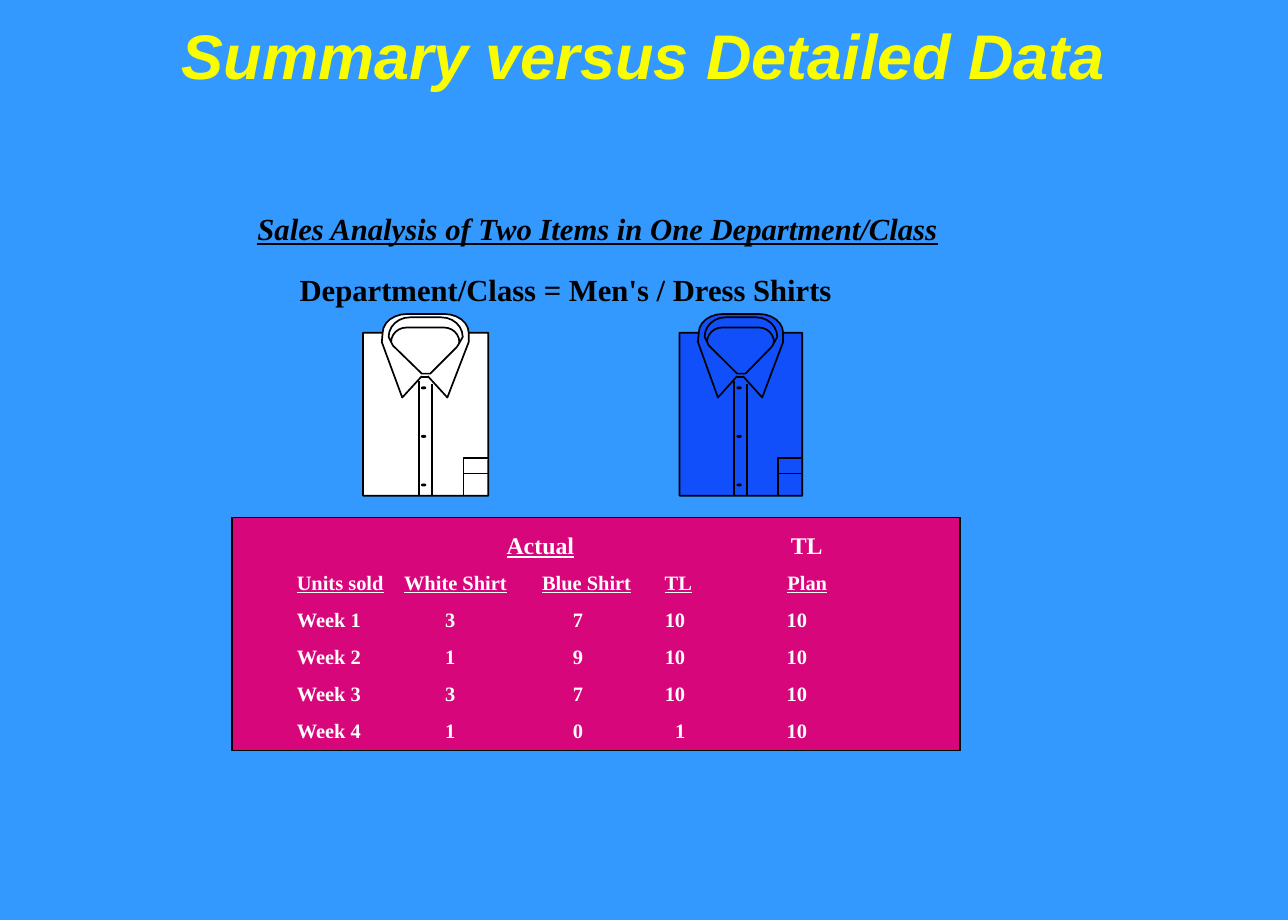
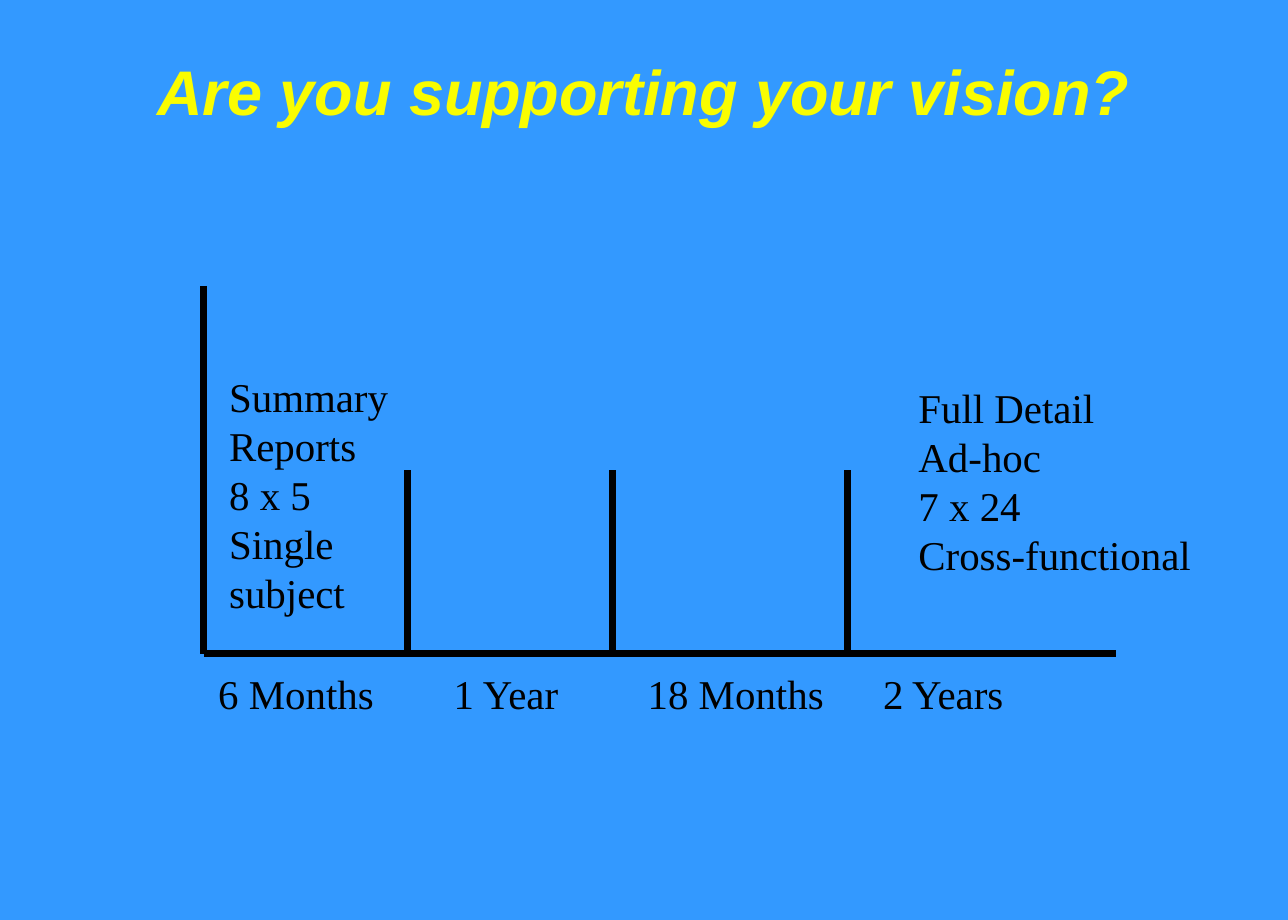
import math
from dataclasses import dataclass

import lxml.etree
import pptx
import pptx.dml.color
import pptx.enum.shapes
import pptx.enum.text
import pptx.oxml.ns
import pptx.presentation
import pptx.shapes.base
import pptx.slide
import pptx.text.text
import pptx.util

Pt = pptx.util.Pt
Align = pptx.enum.text.PP_ALIGN
Anchor = pptx.enum.text.MSO_ANCHOR
Shape = pptx.enum.shapes.MSO_SHAPE
Point = tuple[float, float]

COLORS = {
    "background": "3399FF",
    "title": "FAFD00",
    "ink": "000000",
    "panel": "D8067B",
    "white": "FFFFFF",
    "blue": "114FFB",
}
TITLE_FONT = "Arial"
BODY_FONT = "Times New Roman"
NO_GRID_STYLE = "{2D5ABB26-0587-4C30-8999-92F81FD0307C}"


@dataclass(frozen=True)
class Style:
    size: float
    color: str = "ink"
    font: str = BODY_FONT
    bold: bool = False
    italic: bool = False
    underline: bool = False


@dataclass(frozen=True)
class Label:
    lines: tuple[str, ...]
    left: float
    top: float
    width: float
    height: float
    style: Style


@dataclass(frozen=True)
class Column:
    heading: str
    width: float
    number_margin: float
    values: tuple[str, ...]


@dataclass(frozen=True)
class Shirt:
    left: float
    top: float
    stretch: float
    color: str

    def place(self, point: Point) -> Point:
        return self.left + point[0] * self.stretch, self.top + point[1]


TITLE = Style(37, "title", TITLE_FONT, bold=True, italic=True)
AXIS_TEXT = Style(24)
GROUP_HEADING = Style(14, "white", bold=True)
GROUP_UNDERLINED = Style(14, "white", bold=True, underline=True)
COLUMN_HEADING = Style(12, "white", bold=True, underline=True)
VALUE = Style(12, "white", bold=True)

SALES_LABELS = (
    Label(("Sales Analysis of Two Items in One Department/Class",), 144, 119.5, 430, 29,
          Style(18, bold=True, italic=True, underline=True)),
    Label(("Department/Class = Men's / Dress Shirts",), 168.8, 155.5, 380, 29,
          Style(18, bold=True)),
)
SALES_COLUMNS = (
    Column("Units sold", 63, 0, ("Week 1", "Week 2", "Week 3", "Week 4")),
    Column("White Shirt", 81, 45, ("3", "1", "3", "1")),
    Column("Blue Shirt", 72, 42, ("7", "9", "7", "0")),
    Column("TL", 72, 54, ("10", "10", "10", "1")),
    Column("Plan", 100, 82.5, ("10", "10", "10", "10")),
)
SHIRTS = (
    Shirt(398.9, 184.3, 0.98, "blue"),
    Shirt(213.1, 184.3, 1, "white"),
)
VISION_LABELS = (
    *(Label((text,), left, 388.8, 140, 36, AXIS_TEXT) for text, left in (
        ("6 Months", 121), ("1 Year", 259.2), ("18 Months", 373), ("2 Years", 511.2))),
    Label(("Full Detail", "Ad-hoc", "7 x 24", "Cross-functional"), 532, 221, 185, 123, AXIS_TEXT),
    Label(("Summary", "Reports", "8 x 5", "Single", "subject"), 127.4, 214.6, 120, 151, AXIS_TEXT),
)


def rgb(name: str) -> pptx.dml.color.RGBColor:
    return pptx.dml.color.RGBColor.from_string(COLORS[name])


def add_span(para: pptx.text.text._Paragraph, text: str, style: Style) -> None:
    span = para.add_run()
    span.text = text
    font = span.font
    font.name = style.font
    font.size = Pt(style.size)
    font.bold = style.bold
    font.italic = style.italic
    font.underline = style.underline
    font.color.rgb = rgb(style.color)


def add_page(deck: pptx.presentation.Presentation, title: str, height: float) -> pptx.slide.Slide:
    page = deck.slides.add_slide(deck.slide_layouts[5])
    box = page.shapes.title
    box.left, box.top, box.width, box.height = Pt(16.8), Pt(10.8), Pt(722), Pt(height)
    frame = box.text_frame
    frame.auto_size = pptx.enum.text.MSO_AUTO_SIZE.NONE
    frame.vertical_anchor = Anchor.MIDDLE
    para = frame.paragraphs[0]
    para.alignment = Align.CENTER
    para.line_spacing = 0.9
    add_span(para, title, TITLE)
    return page


def add_label(page: pptx.slide.Slide, label: Label) -> None:
    box = page.shapes.add_textbox(
        Pt(label.left), Pt(label.top), Pt(label.width), Pt(label.height))
    frame = box.text_frame
    frame.word_wrap = True
    for index, text in enumerate(label.lines):
        para = frame.add_paragraph() if index else frame.paragraphs[0]
        add_span(para, text, label.style)


def paint(shape: pptx.shapes.base.BaseShape, color: str) -> None:
    shape.shadow.inherit = False
    shape.fill.solid()
    shape.fill.fore_color.rgb = rgb(color)
    shape.line.color.rgb = rgb("ink")
    shape.line.width = Pt(1)


def add_line(page: pptx.slide.Slide, start: Point, end: Point, width: float) -> None:
    line = page.shapes.add_connector(
        pptx.enum.shapes.MSO_CONNECTOR.STRAIGHT, *map(Pt, (*start, *end)))
    line.line.color.rgb = rgb("ink")
    line.line.width = Pt(width)
    lxml.etree.SubElement(line._element.spPr, pptx.oxml.ns.qn("a:effectLst"))


def arc(center: Point, radius: Point, start: int, end: int) -> list[Point]:
    steps = 6
    angles = [math.radians(start + (end - start) * step / steps) for step in range(steps + 1)]
    return [(center[0] + radius[0] * math.cos(angle), center[1] - radius[1] * math.sin(angle))
            for angle in angles]


def add_outline(page: pptx.slide.Slide, shirt: Shirt, points: list[Point], close: bool) -> None:
    placed = [tuple(map(Pt, shirt.place(point))) for point in points]
    builder = page.shapes.build_freeform(*placed[0])
    builder.add_line_segments(placed[1:], close=close)
    paint(builder.convert_to_shape(), shirt.color)


def add_shirt(page: pptx.slide.Slide, shirt: Shirt) -> None:
    right, bottom, shoulder = 73.5, 106.7, 11
    body = [(0, shoulder), (0, bottom), (right, bottom), (right, shoulder),
            *arc((47.5, shoulder), (14.5, 11), 0, 90),
            *arc((26, shoulder), (14.5, 11), 90, 180)]
    left_flap = [(11.5, 11), (11, 16.5), (23, 49), (34.5, 36.5)]
    right_flap = [(62, 11), (62, 16.5), (49.5, 49), (38, 36.5)]
    pocket = [(59, bottom), (59, 84.5), (right, 84.5)]
    band = [*arc((47.5, 16.5), (9, 8.5), 0, 90), *arc((25.5, 16.5), (9, 8.5), 90, 180),
            (17.5, 18.5),
            *arc((27.5, 13.5), (12.5, 11.5), 180, 90), *arc((46, 13.5), (12.5, 11.5), 90, 0),
            (56, 18)]
    neck = [(56, 18), (55, 19.5), (39.5, 35), (34.5, 35), (17.5, 18.5)]
    for points, close in ((body, True), (left_flap, False), (right_flap, False),
                          (pocket, False), (band, True), (neck, False)):
        add_outline(page, shirt, points, close)
    for start, end in (((38, 37), (34.5, 37)), ((32.7, 39.5), (32.7, bottom)),
                       ((40.5, 41), (40.5, bottom)), ((right, 93.7), (59, 93.7))):
        add_line(page, shirt.place(start), shirt.place(end), 1)
    for row in range(3):
        left, top = shirt.place((34.5, 43 + 28.5 * row))
        button = page.shapes.add_shape(Shape.OVAL, Pt(left), Pt(top), Pt(2.2), Pt(0.7))
        paint(button, shirt.color)


def add_sales_table(page: pptx.slide.Slide) -> None:
    panel = page.shapes.add_shape(Shape.RECTANGLE, Pt(136), Pt(303.8), Pt(427.7), Pt(136.8))
    paint(panel, "panel")
    row_height, row_count, text_inset = 21.8, 6, 6
    graphic = page.shapes.add_table(
        row_count, len(SALES_COLUMNS), Pt(168.2), Pt(309.6),
        Pt(sum(column.width for column in SALES_COLUMNS)), Pt(row_height * row_count))
    graphic.element.xpath(".//a:tableStyleId")[0].text = NO_GRID_STYLE
    table = graphic.table
    table.first_row = table.horz_banding = False
    for row in table.rows:
        row.height = Pt(row_height)
    for cell in table.iter_cells():
        cell.fill.background()
        cell.margin_left = cell.margin_right = cell.margin_top = cell.margin_bottom = 0
        cell.vertical_anchor = Anchor.MIDDLE
    for index, column in enumerate(SALES_COLUMNS):
        table.columns[index].width = Pt(column.width)
        heading = table.cell(1, index)
        heading.margin_left = Pt(text_inset)
        add_span(heading.text_frame.paragraphs[0], column.heading, COLUMN_HEADING)
        for row, value in enumerate(column.values, start=2):
            cell = table.cell(row, index)
            cell.margin_left = Pt(0 if index else text_inset)
            cell.margin_right = Pt(column.number_margin)
            para = cell.text_frame.paragraphs[0]
            para.alignment = Align.RIGHT if index else Align.LEFT
            add_span(para, value, VALUE)
    actual = table.cell(0, 1)
    actual.merge(table.cell(0, 2))
    actual.margin_left = Pt(19)
    para = actual.text_frame.paragraphs[0]
    para.alignment = Align.CENTER
    add_span(para, "Actual", GROUP_UNDERLINED)
    total = table.cell(0, 4)
    total.margin_left = Pt(text_inset + 2)
    add_span(total.text_frame.paragraphs[0], "TL", GROUP_HEADING)


def build_sales_page(deck: pptx.presentation.Presentation) -> None:
    page = add_page(deck, "Summary versus Detailed Data", 48.2)
    add_sales_table(page)
    for label in SALES_LABELS:
        add_label(page, label)
    for shirt in SHIRTS:
        add_shirt(page, shirt)


def build_vision_page(deck: pptx.presentation.Presentation) -> None:
    page = add_page(deck, "Are you supporting your vision?", 90)
    origin, baseline = 119.5, 383.8
    add_line(page, (origin, 167.8), (origin, baseline), 4)
    add_line(page, (origin, baseline), (655.2, baseline), 4)
    for left in (239, 359.3, 497.5):
        add_line(page, (left, baseline), (left, 275.8), 4)
    for label in VISION_LABELS:
        add_label(page, label)


def main() -> None:
    deck = pptx.Presentation()
    deck.slide_width, deck.slide_height = Pt(756), Pt(540)
    backdrop = deck.slide_master.background.fill
    backdrop.solid()
    backdrop.fore_color.rgb = rgb("background")
    build_sales_page(deck)
    build_vision_page(deck)
    deck.save("out.pptx")


if __name__ == "__main__":
    main()
